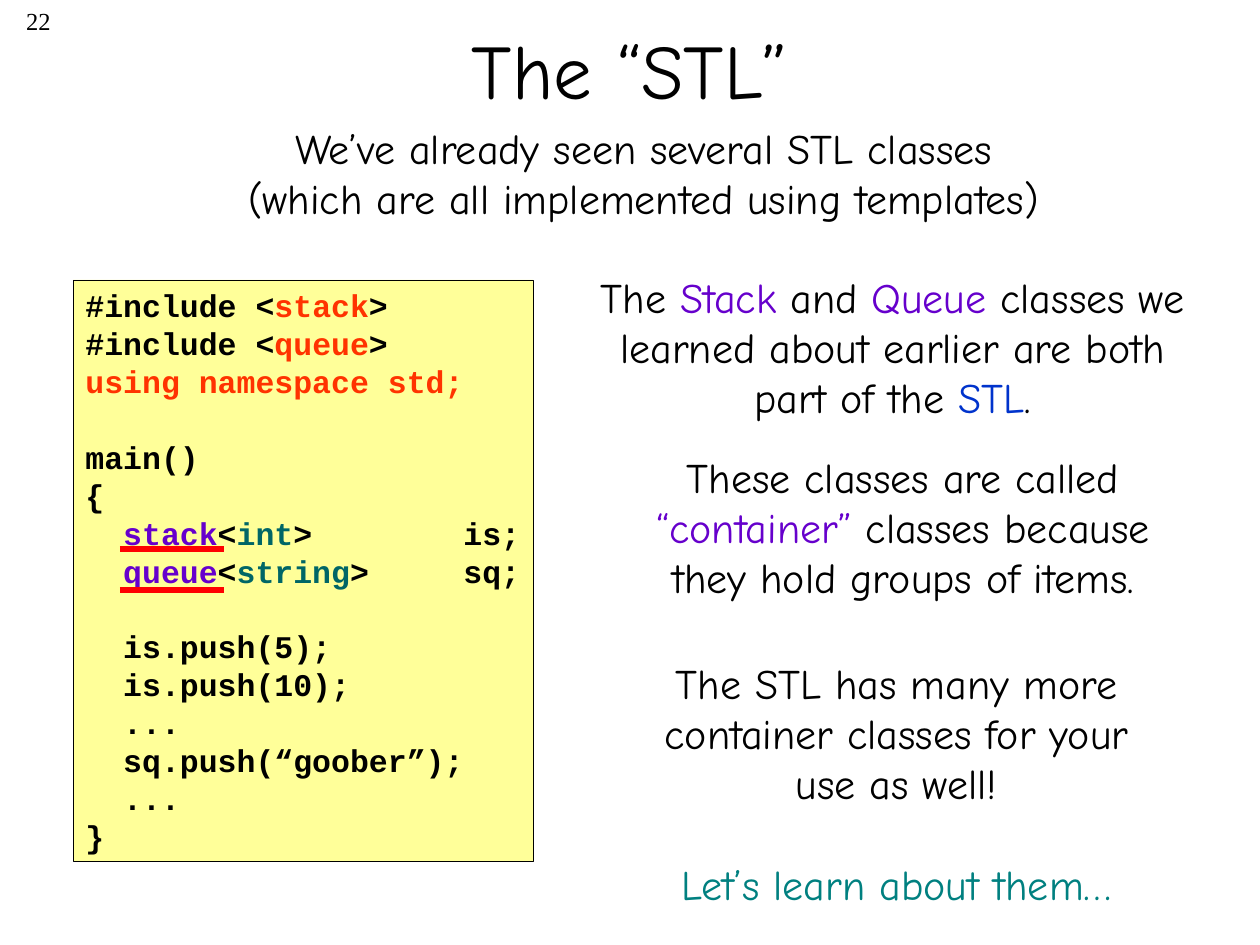
from lxml.etree import SubElement
from pptx import Presentation
from pptx.dml.color import RGBColor as Rgb
from pptx.enum.shapes import MSO_CONNECTOR as Link, MSO_SHAPE as Kind
from pptx.enum.text import MSO_ANCHOR as Anchor, PP_ALIGN as Align
from pptx.oxml.ns import qn
from pptx.util import Pt

SCALE = 914400 / 126
INK = {
    "black": "000000",
    "cream": "FFFF99",
    "orange": "FF3300",
    "red": "FF0000",
    "purple": "6600CC",
    "green": "006666",
    "teal": "008080",
    "blue": "0033CC",
}
HAND, MONO, SERIF = "Comic Neue", "Courier New", "Times New Roman"
STEP = 21.65  # line pitch of the code, in points
STOPS = (252, 378)

# A line is a list of parts: plain text, or (text, colour).
CODE = [
    ["#include <", ("stack", "orange"), ">"],
    ["#include <", ("queue", "orange"), ">"],
    [("using namespace std;", "orange")],
    [],
    ["main()"],
    ["{"],
    ["  ", ("stack", "purple"), "<", ("int", "green"), ">\t\tis;"],
    ["  ", ("queue", "purple"), "<", ("string", "green"), ">\tsq;"],
    [],
    ["  is.push(5);"],
    ["  is.push(10);"],
    ["  ..."],
    ["  sq.push(“goober”);"],
    ["  ..."],
    ["}"],
]


def px(n):
    return round(n * SCALE)


def ink(name):
    return Rgb.from_string(INK[name])


def add_tabs(para):
    tabs = SubElement(para._p.get_or_add_pPr(), qn("a:tabLst"))
    for stop in STOPS:
        SubElement(tabs, qn("a:tab"), pos=str(px(stop)), algn="l")


def write(frame, lines, font, size, align, pitch=None, gap=0, bold=False):
    """Fill a frame; an empty line becomes a gap, in points, before the next."""
    para, space = None, 0
    for parts in lines:
        if not parts:
            space = gap
            continue
        para = frame.add_paragraph() if para else frame.paragraphs[0]
        para.alignment = align
        para.space_before = Pt(space)
        if pitch:
            para.line_spacing = Pt(pitch)
        if any("\t" in part for part in parts):
            add_tabs(para)
        para.font.name, para.font.size, para.font.bold = font, Pt(size), bold
        para.font.color.rgb = ink("black")
        for part in parts:
            text, hue = (part, "black") if isinstance(part, str) else part
            run = para.add_run()
            run.text = text
            run.font.color.rgb = ink(hue)
        space = 0


def add_text(slide, box, lines, size=24, font=HAND, align=Align.CENTER,
             wrap=True, anchor=Anchor.TOP):
    frame = slide.shapes.add_textbox(*map(px, box)).text_frame
    frame.word_wrap = wrap
    frame.vertical_anchor = anchor
    write(frame, lines, font, size, align, gap=28.9)


def add_code(slide, box):
    shape = slide.shapes.add_shape(Kind.RECTANGLE, *map(px, box))
    shape.shadow.inherit = False
    shape.fill.solid()
    shape.fill.fore_color.rgb = ink("cream")
    shape.line.color.rgb = ink("black")
    shape.line.width = Pt(0.25)
    frame = shape.text_frame
    frame.word_wrap = False
    frame.vertical_anchor = Anchor.TOP
    write(frame, CODE, MONO, 18, Align.LEFT, STEP, STEP, True)


def add_rule(slide, left, right, y):
    rule = slide.shapes.add_connector(
        Link.STRAIGHT, px(left), px(y), px(right), px(y))
    rule.line.color.rgb = ink("red")
    rule.line.width = Pt(3)
    SubElement(rule._element.spPr, qn("a:effectLst"))


def main():
    deck = Presentation()
    deck.slide_width, deck.slide_height = px(1260), px(945)
    slide = deck.slides.add_slide(deck.slide_layouts[6])

    add_text(slide, (0, 0, 63, 63), [["22"]], 14, SERIF, Align.RIGHT)
    add_text(slide, (95, 0, 1070, 137), [["The “STL”"]], 44,
             anchor=Anchor.MIDDLE)
    add_text(slide, (205, 116, 877, 113), [
        ["We’ve already seen several STL classes"],
        ["(which are all implemented using templates)"],
    ], wrap=False)
    add_code(slide, (73, 280, 460, 581))
    add_text(slide, (620, 651, 553, 265), [
        ["The STL has many more container classes for your use as well!"],
        [],
        [("Let’s learn about them…", "teal")],
    ])
    add_text(slide, (609, 445, 588, 164), [[
        "These classes are called ", ("“container”", "purple"),
        " classes because they hold groups of items.",
    ]])
    for y in (549, 590):
        add_rule(slide, 120, 224, y)
    add_text(slide, (567, 265, 651, 164), [[
        "The ", ("Stack", "purple"), " and ", ("Queue", "purple"),
        " classes we learned about earlier are both part of the ",
        ("STL", "blue"), ".",
    ]])
    deck.save("out.pptx")


if __name__ == "__main__":
    main()
